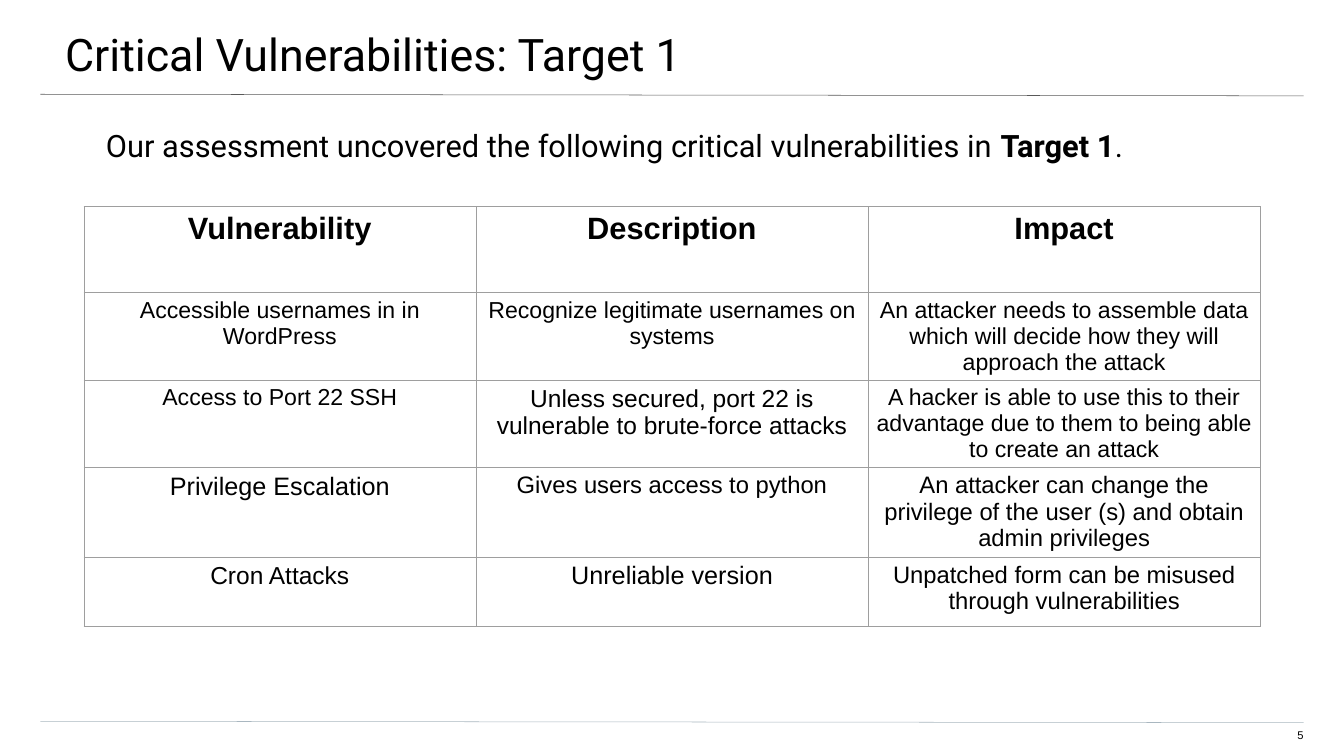
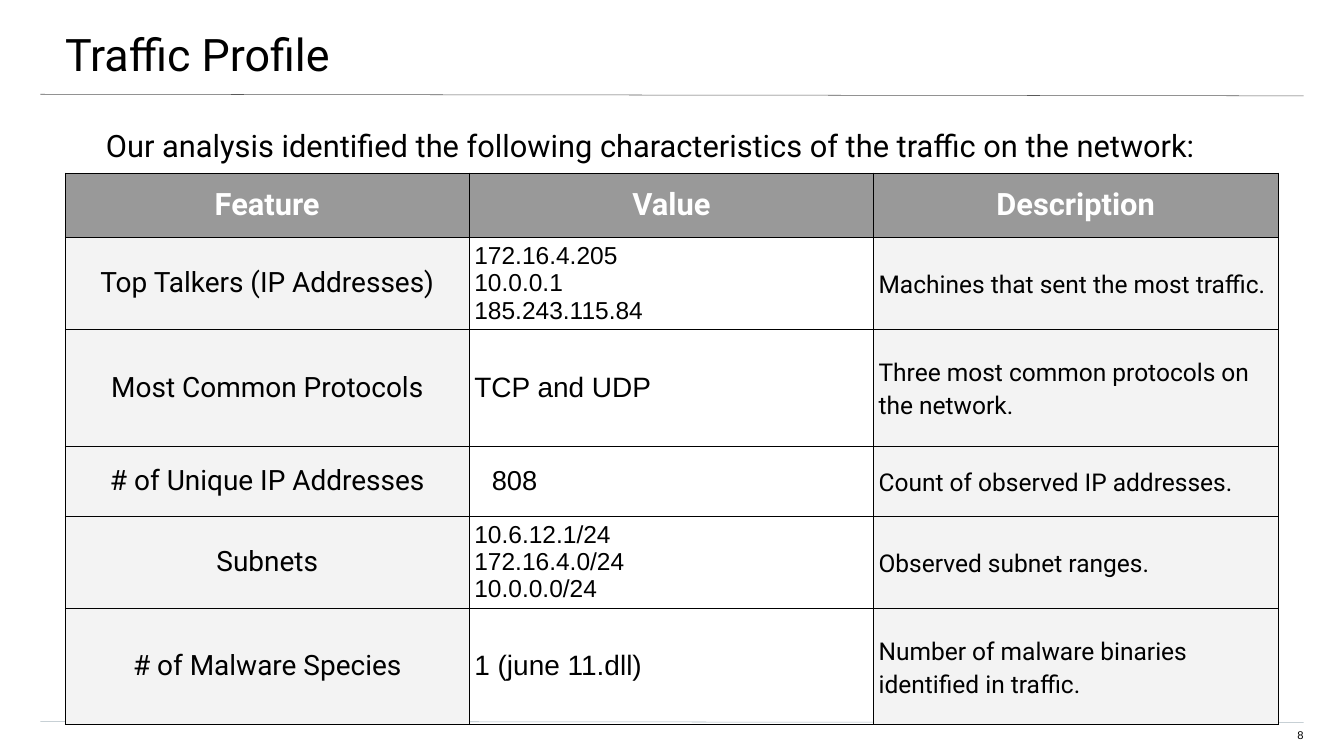
import pptx
import pptx.dml.color
import pptx.enum.shapes
import pptx.enum.text
import pptx.oxml.ns
import pptx.util
from lxml import etree

Cm, Pt = pptx.util.Cm, pptx.util.Pt
qn = pptx.oxml.ns.qn
ALIGN, ANCHOR = pptx.enum.text.PP_ALIGN, pptx.enum.text.MSO_ANCHOR

COLORS = {
    "text": "000000", "header_text": "FFFFFF", "header_fill": "999999",
    "label_fill": "F3F3F3", "title_rule": "595959", "footer_rule": "A9B7C0",
    "grid": "9E9E9E", "dark_grid": "000000",
}
SIDES = ("margin_left", "margin_top", "margin_right", "margin_bottom")
RULES = [("title_rule", 4.75, 4.83), ("footer_rule", 36.35, 36.42)]
TITLE = {"box": (-0.1, 0, 67.9, 3.96), "insets": (3.38, 1.35, 2.03, 0.69)}
BODY = {"box": (1.96, 6.38, 63.73, 27.41), "insets": (3.38, 0, 3.38, 6.78)}
NUMBER = {"box": (63.75, 36.73, 1.93, 0.79), "insets": (0, 0, 0, 0.69)}

# Cells are (text, size in points)
VULNERABILITIES = [
    [("Vulnerability", 44), ("Description", 44), ("Impact", 44)],
    [("Accessible usernames in in WordPress", 33),
     ("Recognize legitimate usernames on systems", 33),
     ("An attacker needs to assemble data which will decide how they will "
      "approach the attack", 33)],
    [("Access to Port 22 SSH", 33),
     ("Unless secured, port 22 is vulnerable to brute-force attacks", 35),
     ("A hacker is able to use this to their advantage due to them to being "
      "able to create an attack", 33)],
    [("Privilege Escalation", 36),
     ("Gives users access to python", 34),
     ("An attacker can change the privilege of the user (s) and obtain admin "
      "privileges", 34)],
    [("Cron Attacks", 35),
     ("Unreliable version", 36),
     ("Unpatched form can be misused through vulnerabilities", 34)],
]
TRAFFIC = [
    [("Feature", 44), ("Value", 44), ("Description", 44)],
    [("Top Talkers (IP Addresses)", 40),
     ("172.16.4.205\n10.0.0.1\n185.243.115.84", 35),
     ("Machines that sent the most traffic.", 35)],
    [("Most Common Protocols", 40), ("TCP and UDP", 40),
     ("Three most common protocols on the network.", 35)],
    [("# of Unique IP Addresses", 40), ("808", 39),
     ("Count of observed IP addresses.", 35)],
    [("Subnets", 40), ("10.6.12.1/24\n172.16.4.0/24\n10.0.0.0/24", 35),
     ("Observed subnet ranges.", 35)],
    [("# of Malware Species", 40), ("1 (june 11.dll)", 40),
     ("Number of malware binaries identified in traffic.", 35)],
]

# Column formats: font, fill and paragraph settings
CENTERED = {"font": "Arial", "fill": None, "para": {"alignment": ALIGN.CENTER}}
LABEL = {"font": "Roboto", "fill": "label_fill", "para": {"alignment": ALIGN.CENTER}}
VALUE = {"font": "Arial", "fill": None, "para": {"alignment": ALIGN.LEFT}}
NOTE = {"font": "Roboto", "fill": "label_fill",
        "para": {"alignment": ALIGN.LEFT, "line_spacing": 1.15, "space_after": Pt(10)}}
HEADER = {"font": "Roboto", "fill": "header_fill", "para": {"alignment": ALIGN.CENTER}}

SLIDES = [
    {"title": "Critical Vulnerabilities: Target 1", "number": "5", "space_after": 0,
     "intro": [("Our assessment uncovered the following critical vulnerabilities in ", False),
               ("Target 1", True), (".", False)],
     "rows": VULNERABILITIES, "at": (4.22, 10.41), "col_width": 19.76,
     "heights": [4.34, 3.35, 3.86, 3.61, 3.51], "header": CENTERED,
     "columns": [CENTERED] * 3, "header_color": "text", "grid": "grid",
     "anchor": ANCHOR.TOP, "indents": {}},
    {"title": "Traffic Profile", "number": "8", "space_after": 12,
     "intro": [("Our analysis identified the following characteristics of the "
                "traffic on the network:", False)],
     "rows": TRAFFIC, "at": (3.28, 8.71), "col_width": 20.37,
     "heights": [3.25, 3.53, 5.87, 3.53, 3.53, 5.87], "header": HEADER,
     "columns": [LABEL, VALUE, NOTE], "header_color": "header_text",
     "grid": "dark_grid", "anchor": ANCHOR.MIDDLE, "indents": {(3, 1): 0.88}},
]


def format_run(r, size, font="Roboto", color="text", bold=False):
    for name, value in {"size": Pt(size), "name": font, "bold": bold}.items():
        setattr(r.font, name, value)
    r.font.color.rgb = pptx.dml.color.RGBColor.from_string(COLORS[color])


def place(sp, layout):
    """Set the box and insets of a text shape and return its text frame."""
    for name, value in zip(("left", "top", "width", "height"), layout["box"]):
        setattr(sp, name, Cm(value))
    tf = sp.text_frame
    for name, value in zip(SIDES, layout["insets"]):
        setattr(tf, name, Cm(value))
    tf.word_wrap = True
    tf.auto_size = pptx.enum.text.MSO_AUTO_SIZE.NONE
    tf.vertical_anchor = ANCHOR.TOP
    return tf


prs = pptx.Presentation()
prs.slide_width, prs.slide_height = Cm(67.72), Cm(38.1)
layout = prs.slide_layouts[1]

for index, data in enumerate(SLIDES):
    s = prs.slides.add_slide(layout)

    # The rules belong to the layout, so they are made once and moved there
    if index == 0:
        for color, y1, y2 in RULES:
            rule = s.shapes.add_connector(pptx.enum.shapes.MSO_CONNECTOR.STRAIGHT,
                                          Cm(2.03), Cm(y1), Cm(65.68), Cm(y2))
            rule.line.color.rgb = pptx.dml.color.RGBColor.from_string(COLORS[color])
            rule.line.width = Pt(0.75)
            etree.SubElement(rule.element.spPr, qn("a:effectLst"))
            layout.shapes.element.append(rule.element)

    # Title
    p = place(s.shapes.title, TITLE).paragraphs[0]
    p.alignment = ALIGN.LEFT
    r = p.add_run()
    r.text = data["title"]
    format_run(r, 64)

    # Slide number
    p = place(s.shapes.add_textbox(0, 0, 0, 0), NUMBER).paragraphs[0]
    p.alignment = ALIGN.RIGHT
    r = p.add_run()
    r.text = data["number"]
    format_run(r, 16, "Arial")

    # Introduction
    p = place(s.placeholders[1], BODY).paragraphs[0]
    pPr = p._p.get_or_add_pPr()
    pPr.set("marL", "0")
    pPr.set("indent", "0")
    etree.SubElement(pPr, qn("a:buNone"))
    p.space_before, p.space_after = Pt(0), Pt(data["space_after"])
    for text, bold in data["intro"]:
        r = p.add_run()
        r.text = text
        format_run(r, 44, bold=bold)

    # Table
    rows, columns = data["rows"], data["columns"]
    left, top = data["at"]
    table = s.shapes.add_table(len(rows), len(columns), Cm(left), Cm(top),
                               Cm(data["col_width"] * len(columns)),
                               Cm(sum(data["heights"]))).table
    table.first_row = table.horz_banding = False
    for column in table.columns:
        column.width = Cm(data["col_width"])
    for row, height in zip(table.rows, data["heights"]):
        row.height = Cm(height)

    for i, row in enumerate(rows):
        for j, (text, size) in enumerate(row):
            fmt = data["header"] if i == 0 else columns[j]
            color = data["header_color"] if i == 0 else "text"
            cell = table.cell(i, j)
            cell.text = text
            cell.vertical_anchor = data["anchor"]
            for side in SIDES:
                setattr(cell, side, Cm(0.25))
            cell.margin_left += Cm(data["indents"].get((i, j), 0))
            for p in cell.text_frame.paragraphs:
                for name, value in fmt["para"].items():
                    setattr(p, name, value)
                for r in p.runs:
                    format_run(r, size, fmt["font"], color, bold=i == 0)

            # Borders come before the fill in the cell properties
            tcPr = cell._tc.get_or_add_tcPr()
            for tag in ("a:lnL", "a:lnR", "a:lnT", "a:lnB"):
                ln = etree.SubElement(tcPr, qn(tag), w=str(Pt(0.75)))
                fill = etree.SubElement(ln, qn("a:solidFill"))
                etree.SubElement(fill, qn("a:srgbClr"), val=COLORS[data["grid"]])
            if fmt["fill"]:
                cell.fill.solid()
                cell.fill.fore_color.rgb = pptx.dml.color.RGBColor.from_string(
                    COLORS[fmt["fill"]])
            else:
                cell.fill.background()

prs.save("out.pptx")
